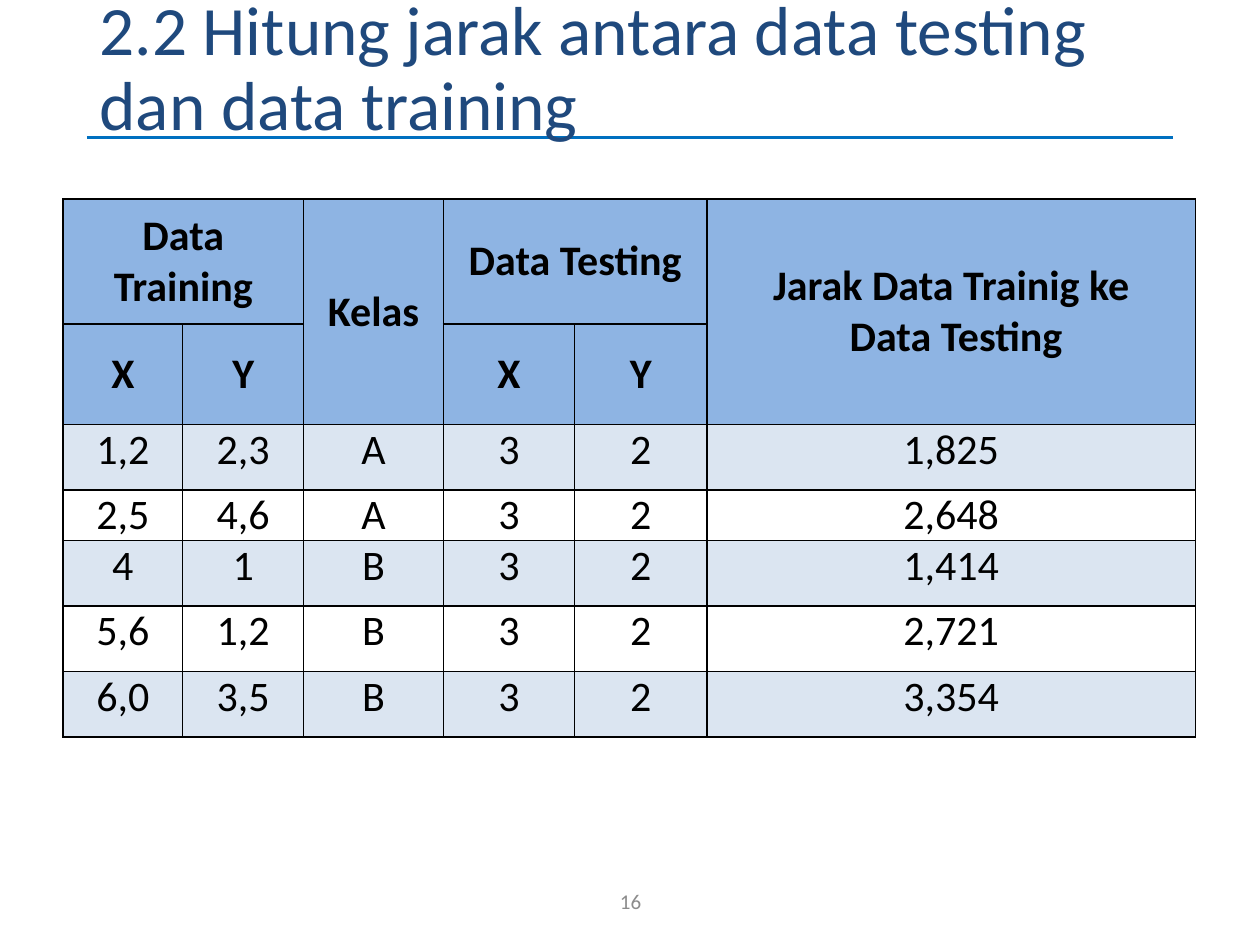
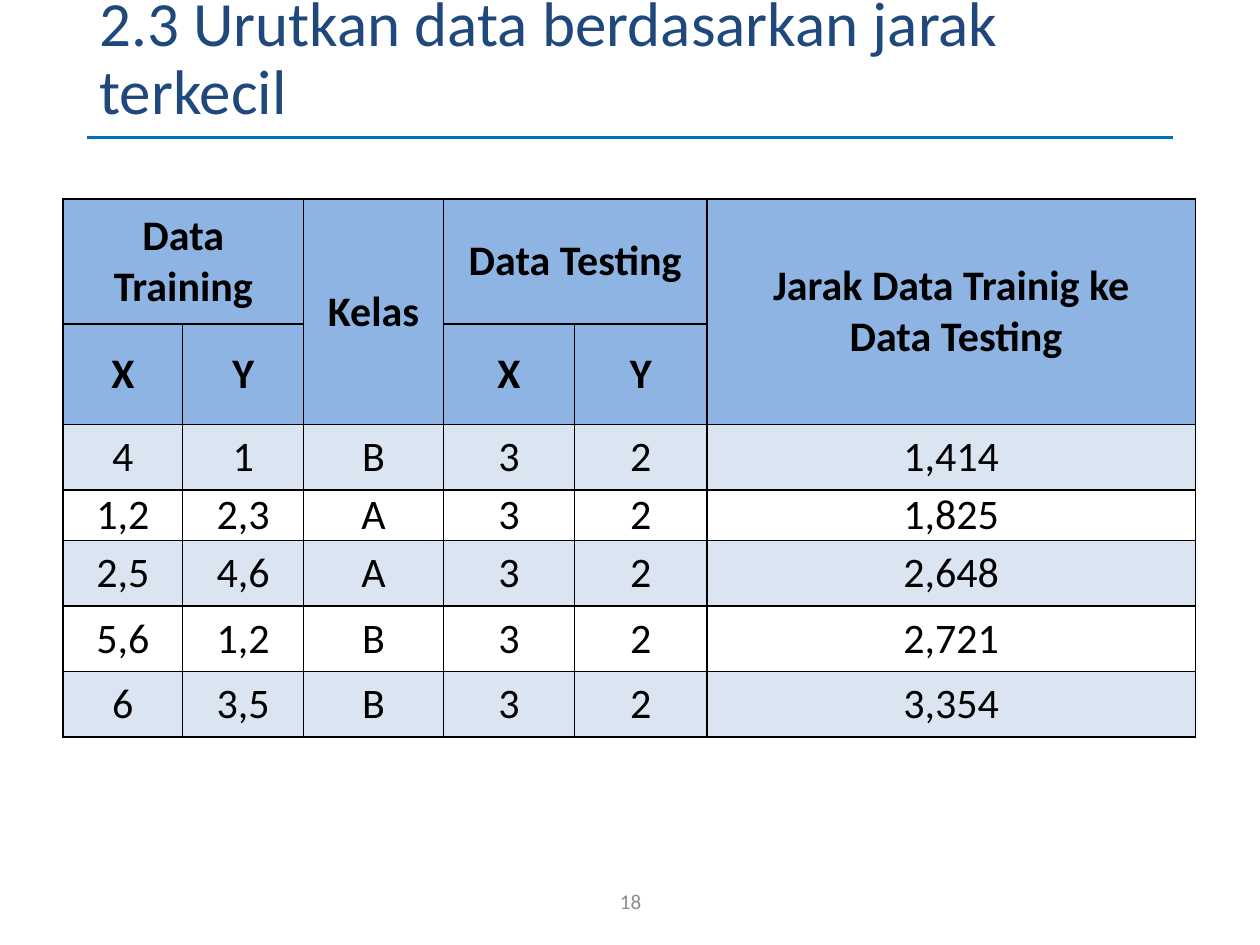
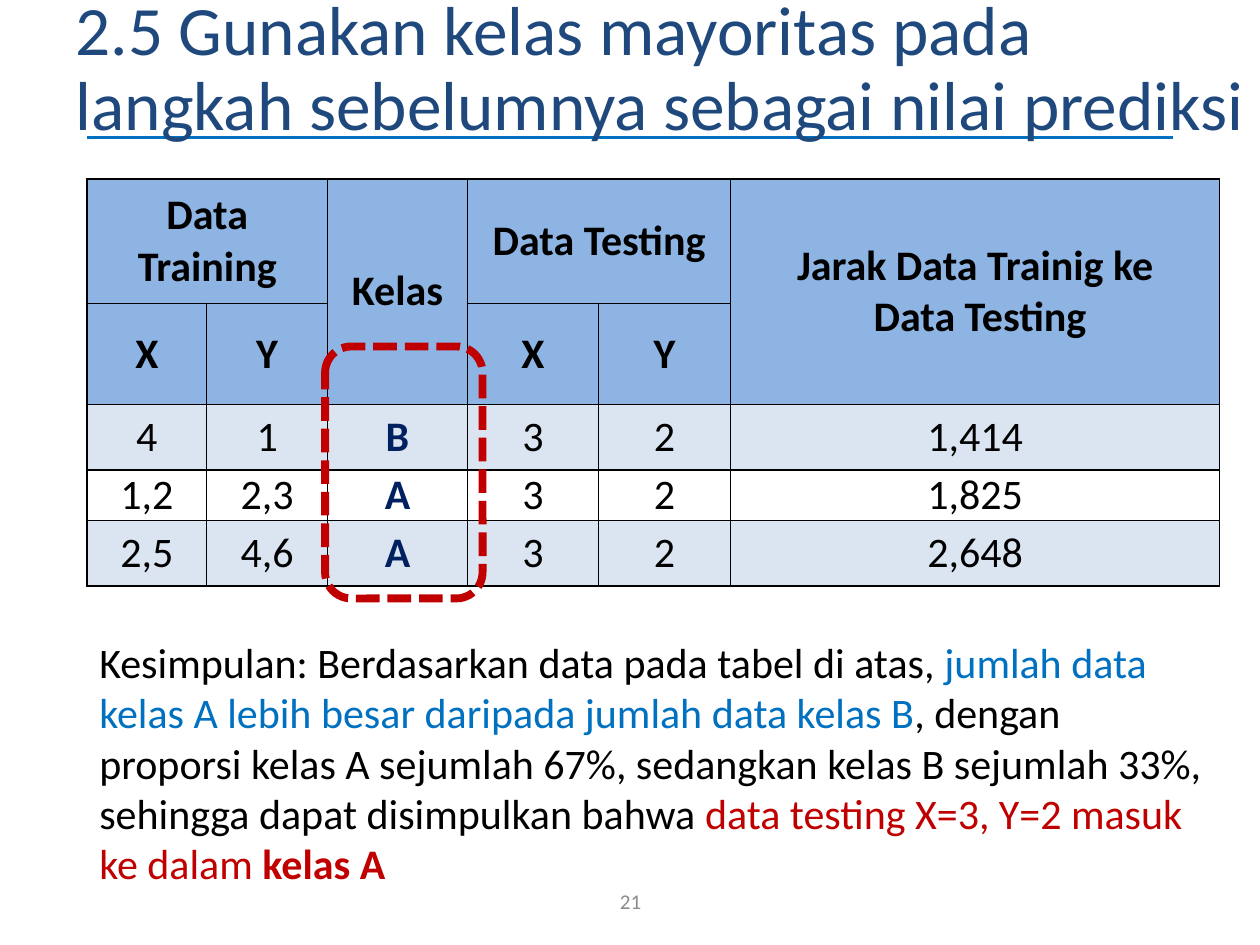
import pptx
import pptx.dml.color
import pptx.enum.dml
import pptx.enum.shapes
import pptx.enum.text
import pptx.oxml
import pptx.oxml.ns
import pptx.util

Inches = pptx.util.Inches
MIDDLE = pptx.enum.text.MSO_ANCHOR.MIDDLE
TOP = pptx.enum.text.MSO_ANCHOR.TOP
CENTER = pptx.enum.text.PP_ALIGN.CENTER

THEME = {
    "font": "Calibri",
    "title": "1F497D", "rule": "0070C0", "number": "8C8C8C", "text": "000000",
    "header": "8EB4E3", "band": "4F81BD", "class": "002060",
    "accent": "C00000",
    "title_size": 39.6, "small_title_size": 36, "body_size": 24, "number_size": 12,
}

COLUMN_WIDTHS = [0.95, 0.96, 1.11, 1.04, 1.05, 3.88]
HEADER_HEIGHTS = [0.99, 0.68]
ROW_HEIGHT = 0.52
SHORT_ROW_HEIGHT = 0.06
SHORT_ROW = 3
CLASS_COLUMN = 2
HEADERS = [
    ["Data Training", "", "Kelas", "Data Testing", "", "Jarak Data Trainig ke\n Data Testing"],
    ["X", "Y", "", "X", "Y", ""],
]
HEADER_SPANS = [((0, 0), (0, 1)), ((0, 2), (1, 2)), ((0, 3), (0, 4)), ((0, 5), (1, 5))]

# Every row is X, Y, class and distance; the tested point is the same throughout
TEST_POINT = ["3", "2"]
SORTED_ROWS = [
    ("4", "1", "B", "1,414"),
    ("1,2", "2,3", "A", "1,825"),
    ("2,5", "4,6", "A", "2,648"),
    ("5,6", "1,2", "B", "2,721"),
    ("6", "3,5", "B", "3,354"),
]
SLIDES = [
    {
        "title": "2.2 Hitung jarak antara data testing dan data training",
        "title_box": (0.69, 0.17, 8.62, 0.78), "title_size": THEME["title_size"],
        "number": "16", "table_at": (0.5, 1.58), "anchor": TOP, "highlight": False,
        "rows": [
            ("1,2", "2,3", "A", "1,825"),
            ("2,5", "4,6", "A", "2,648"),
            ("4", "1", "B", "1,414"),
            ("5,6", "1,2", "B", "2,721"),
            ("6,0", "3,5", "B", "3,354"),
        ],
    },
    {
        "title": "2.3 Urutkan data berdasarkan jarak terkecil",
        "title_box": (0.69, 0.09, 8.81, 0.78), "title_size": THEME["small_title_size"],
        "number": "18", "table_at": (0.5, 1.58), "anchor": MIDDLE, "highlight": False,
        "rows": SORTED_ROWS,
    },
    {
        "title": "2.5 Gunakan kelas mayoritas pada langkah sebelumnya sebagai nilai prediksi",
        "title_box": (0.5, 0.17, 9.5, 0.78), "title_size": THEME["title_size"],
        "number": "21", "table_at": (0.69, 1.42), "anchor": MIDDLE, "highlight": True,
        "rows": SORTED_ROWS[:3],
    },
]
CONCLUSION = [
    ("Kesimpulan: Berdasarkan data pada tabel di atas, ", "text", False),
    ("jumlah data kelas A lebih besar daripada jumlah data kelas B", "rule", False),
    (", dengan proporsi kelas A sejumlah 67%, sedangkan kelas B sejumlah 33%, "
     "sehingga dapat disimpulkan bahwa ", "text", False),
    ("data testing X=3, Y=2 masuk ke dalam ", "accent", False),
    ("kelas A", "accent", True),
]


def set_values(target, values):
    for name, value in values.items():
        setattr(target, name, value)


def add_run(paragraph, text, color, size, bold=False):
    run = paragraph.add_run()
    run.text = text
    set_values(run.font, {"name": THEME["font"], "size": pptx.util.Pt(size), "bold": bold})
    run.font.color.rgb = pptx.dml.color.RGBColor.from_string(THEME[color])


presentation = pptx.Presentation()
presentation.slide_width, presentation.slide_height = Inches(10), Inches(7.5)
layout = presentation.slide_layouts[5]

for content in SLIDES:
    slide = presentation.slides.add_slide(layout)

    # Rule under the title, placed behind it
    rule = slide.shapes.add_connector(
        pptx.enum.shapes.MSO_CONNECTOR.STRAIGHT,
        Inches(0.69), Inches(1.09), Inches(9.31), Inches(1.09))
    rule.line.color.rgb = pptx.dml.color.RGBColor.from_string(THEME["rule"])
    rule.line.width = pptx.util.Pt(1.5)
    pptx.oxml.ns.qn("a:effectLst")
    rule.element.spPr.append(pptx.oxml.parse_xml(
        f'<a:effectLst {pptx.oxml.ns.nsdecls("a")}/>'))
    title = slide.shapes.title
    title.element.addprevious(rule.element)

    # Title
    left, top, width, height = map(Inches, content["title_box"])
    set_values(title, {"left": left, "top": top, "width": width, "height": height})
    set_values(title.text_frame, {
        "vertical_anchor": MIDDLE, "word_wrap": True,
        "auto_size": pptx.enum.text.MSO_AUTO_SIZE.NONE})
    paragraph = title.text_frame.paragraphs[0]
    set_values(paragraph, {"alignment": pptx.enum.text.PP_ALIGN.LEFT, "line_spacing": 0.9})
    add_run(paragraph, content["title"], "title", content["title_size"])

    # Page number
    number_box = slide.shapes.add_textbox(Inches(3.88), Inches(6.95), Inches(2.25), Inches(0.4))
    set_values(number_box.text_frame, {"vertical_anchor": MIDDLE, "word_wrap": True})
    paragraph = number_box.text_frame.paragraphs[0]
    paragraph.alignment = CENTER
    add_run(paragraph, content["number"], "number", THEME["number_size"])

    # Distance table
    cell_texts = HEADERS + [[x, y, label, *TEST_POINT, distance]
                            for x, y, label, distance in content["rows"]]
    row_heights = HEADER_HEIGHTS + [ROW_HEIGHT] * len(content["rows"])
    row_heights[SHORT_ROW] = SHORT_ROW_HEIGHT
    left, top = map(Inches, content["table_at"])
    table = slide.shapes.add_table(
        len(cell_texts), len(COLUMN_WIDTHS), left, top,
        Inches(sum(COLUMN_WIDTHS)), Inches(sum(row_heights))).table
    set_values(table, {"first_row": False, "horz_banding": False})
    for column, column_width in zip(table.columns, COLUMN_WIDTHS):
        column.width = Inches(column_width)
    for row, row_height in zip(table.rows, row_heights):
        row.height = Inches(row_height)
    for first, last in HEADER_SPANS:
        table.cell(*first).merge(table.cell(*last))

    for row_index, row_texts in enumerate(cell_texts):
        is_header = row_index < len(HEADERS)
        for column_index, text in enumerate(row_texts):
            cell = table.cell(row_index, column_index)
            set_values(cell, {
                "margin_left": Inches(0.07), "margin_right": Inches(0.07),
                "margin_top": 0, "margin_bottom": 0,
                "vertical_anchor": MIDDLE if is_header else content["anchor"]})

            # Borders come before the fill in the cell properties
            for side in ("lnL", "lnR", "lnT", "lnB"):
                cell._tc.get_or_add_tcPr().append(pptx.oxml.parse_xml(
                    f'<a:{side} {pptx.oxml.ns.nsdecls("a")} w="12700"><a:solidFill>'
                    f'<a:srgbClr val="{THEME["text"]}"/></a:solidFill></a:{side}>'))
            if is_header or row_index % 2 == 0:
                cell.fill.solid()
                cell.fill.fore_color.rgb = pptx.dml.color.RGBColor.from_string(
                    THEME["header" if is_header else "band"])
            else:
                cell.fill.background()
            if not is_header:
                for color in cell._tc.tcPr.findall(
                        "/".join(map(pptx.oxml.ns.qn, ("a:solidFill", "a:srgbClr")))):
                    color.append(pptx.oxml.parse_xml(
                        f'<a:alpha {pptx.oxml.ns.nsdecls("a")} val="20000"/>'))

            if cell.is_spanned:
                continue
            is_class = content["highlight"] and not is_header and column_index == CLASS_COLUMN
            for line_index, line in enumerate(text.split("\n")):
                frame = cell.text_frame
                paragraph = frame.add_paragraph() if line_index else frame.paragraphs[0]
                paragraph.alignment = CENTER
                add_run(paragraph, line, "class" if is_class else "text",
                        THEME["body_size"], is_header or is_class)

# Dashed frame around the classes on the last slide
class_frame = slide.shapes.add_shape(
    pptx.enum.shapes.MSO_SHAPE.ROUNDED_RECTANGLE,
    Inches(2.58), Inches(2.75), Inches(1.25), Inches(2))
class_frame.shadow.inherit = False
class_frame.fill.background()
class_frame.line.color.rgb = pptx.dml.color.RGBColor.from_string(THEME["accent"])
set_values(class_frame.line, {
    "width": pptx.util.Pt(4.5), "dash_style": pptx.enum.dml.MSO_LINE.SQUARE_DOT})

# Conclusion
conclusion_box = slide.shapes.add_textbox(Inches(0.69), Inches(5), Inches(9), Inches(2.12))
set_values(conclusion_box.text_frame, {
    "word_wrap": True, "auto_size": pptx.enum.text.MSO_AUTO_SIZE.SHAPE_TO_FIT_TEXT})
for text, color, bold in CONCLUSION:
    add_run(conclusion_box.text_frame.paragraphs[0], text, color, THEME["body_size"], bold)

presentation.save("out.pptx")
